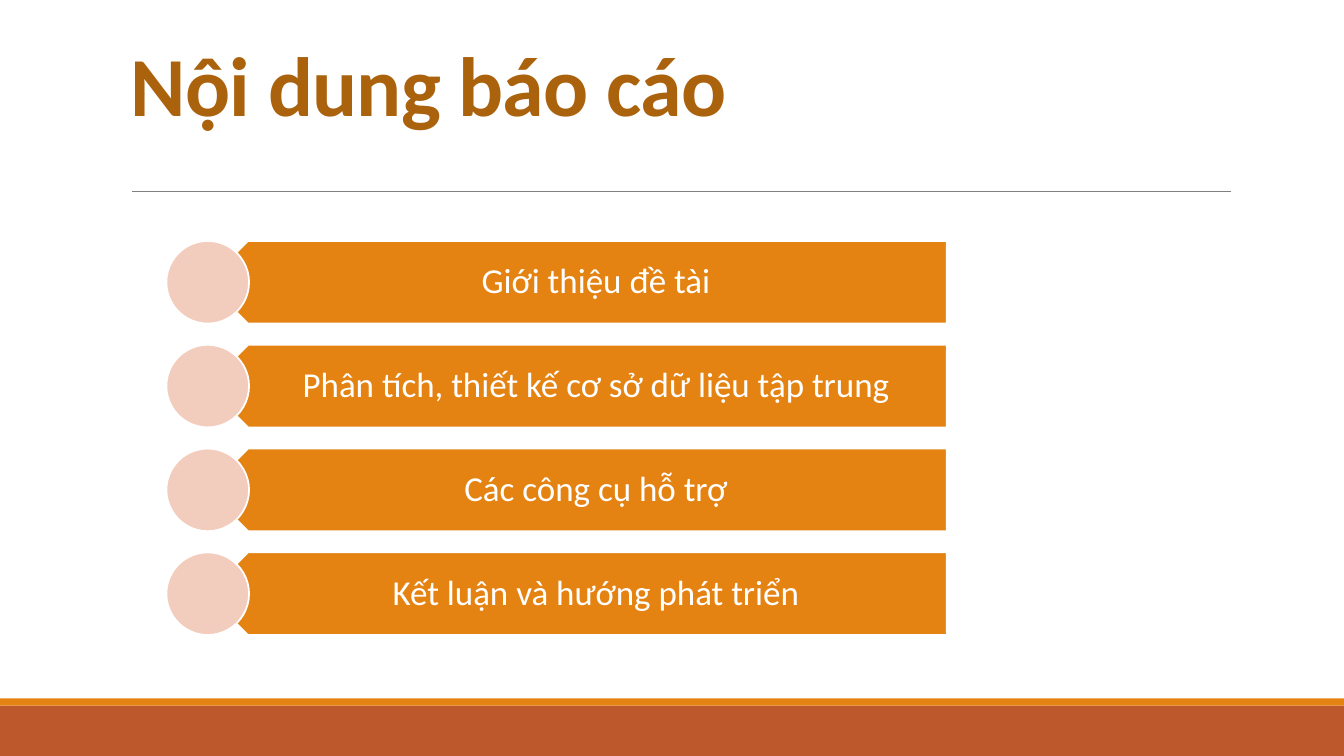
import pptx
import pptx.dml.color
import pptx.enum.shapes
import pptx.enum.text
import pptx.oxml.ns
import pptx.util
from lxml import etree

Inches = pptx.util.Inches
Pt = pptx.util.Pt
Shape = pptx.enum.shapes.MSO_SHAPE
Anchor = pptx.enum.text.MSO_ANCHOR
Align = pptx.enum.text.PP_ALIGN

WIDTH, HEIGHT = 13.33, 7.5
ORANGE, RUST, BROWN, PEACH = "E48312", "BD582C", "AB620D", "F2CDBD"
WHITE, GREY = "FFFFFF", "808080"

# Agenda grid: one row per topic
TOPICS = [
    "Giới thiệu đề tài",
    "Phân tích, thiết kế cơ sở dữ liệu tập trung",
    "Các công cụ hỗ trợ",
    "Kết luận và hướng phát triển",
]
FIRST_ROW, ROW_STEP, ROW_HEIGHT = 2.39, 1.03, 0.82
CIRCLE_LEFT, BANNER_LEFT, BANNER_RIGHT = 1.65, 2.05, 9.39
LABEL_LEFT = 2.26


def color(value):
    return pptx.dml.color.RGBColor.from_string(value)


def add_block(page, kind, area, fill, outline=None, rotation=0):
    block = page.shapes.add_shape(kind, *map(Inches, area))
    block.shadow.inherit = False
    block.rotation = rotation
    block.fill.solid()
    block.fill.fore_color.rgb = color(fill)
    if outline:
        block.line.color.rgb = color(outline)
        block.line.width = Pt(1.25)
    else:
        block.line.fill.background()
    return block


def add_rule(page, left, right, top):
    rule = page.shapes.add_connector(
        pptx.enum.shapes.MSO_CONNECTOR.STRAIGHT,
        Inches(left), Inches(top), Inches(right), Inches(top))
    rule.line.color.rgb = color(GREY)
    rule.line.width = Pt(0.5)
    etree.SubElement(rule._element.spPr, pptx.oxml.ns.qn("a:effectLst"))


def add_text(page, text, area, size, ink, bold=False, align=Align.LEFT,
             anchor=Anchor.MIDDLE, leading=0.9, margins=(0.1, 0.05, 0.1, 0.05),
             tracking=0):
    box = page.shapes.add_textbox(*map(Inches, area))
    frame = box.text_frame
    frame.word_wrap = True
    frame.vertical_anchor = anchor
    (frame.margin_left, frame.margin_top,
     frame.margin_right, frame.margin_bottom) = map(Inches, margins)
    para = frame.paragraphs[0]
    para.alignment = align
    para.line_spacing = leading
    span = para.add_run()
    span.text = text
    span.font.name = "Calibri"
    span.font.size = Pt(size)
    span.font.bold = bold
    span.font.color.rgb = color(ink)
    if tracking:
        # Letter spacing is stored in hundredths of a point
        span.font._element.set("spc", str(round(tracking * 100)))


def add_topic(page, row, topic):
    top = FIRST_ROW + row * ROW_STEP
    add_block(page, Shape.PENTAGON,
              (BANNER_LEFT, top, BANNER_RIGHT - BANNER_LEFT, ROW_HEIGHT),
              ORANGE, outline=WHITE, rotation=180)
    add_text(page, topic,
             (LABEL_LEFT, top, BANNER_RIGHT - LABEL_LEFT, ROW_HEIGHT),
             25, WHITE, align=Align.CENTER, margins=(0.36, 0.1, 0.19, 0.1))
    add_block(page, Shape.OVAL, (CIRCLE_LEFT, top, ROW_HEIGHT, ROW_HEIGHT),
              PEACH, outline=WHITE)


def main():
    deck = pptx.Presentation()
    deck.slide_width, deck.slide_height = Inches(WIDTH), Inches(HEIGHT)
    page = deck.slides.add_slide(deck.slide_layouts[6])

    # Footer bands
    add_block(page, Shape.RECTANGLE, (0, 7, WIDTH, 0.5), RUST)
    add_block(page, Shape.RECTANGLE, (0, 6.93, WIDTH, 0.07), ORANGE)

    # Title and its rule
    add_rule(page, 1.31, 12.21, 1.9)
    add_text(page, "Nội dung báo cáo", (1.2, 0.31, 11, 1.07), 60, BROWN,
             bold=True, anchor=Anchor.BOTTOM, leading=0.85, tracking=-0.5)

    # Agenda
    for row, topic in enumerate(TOPICS):
        add_topic(page, row, topic)

    deck.save("out.pptx")


if __name__ == "__main__":
    main()
